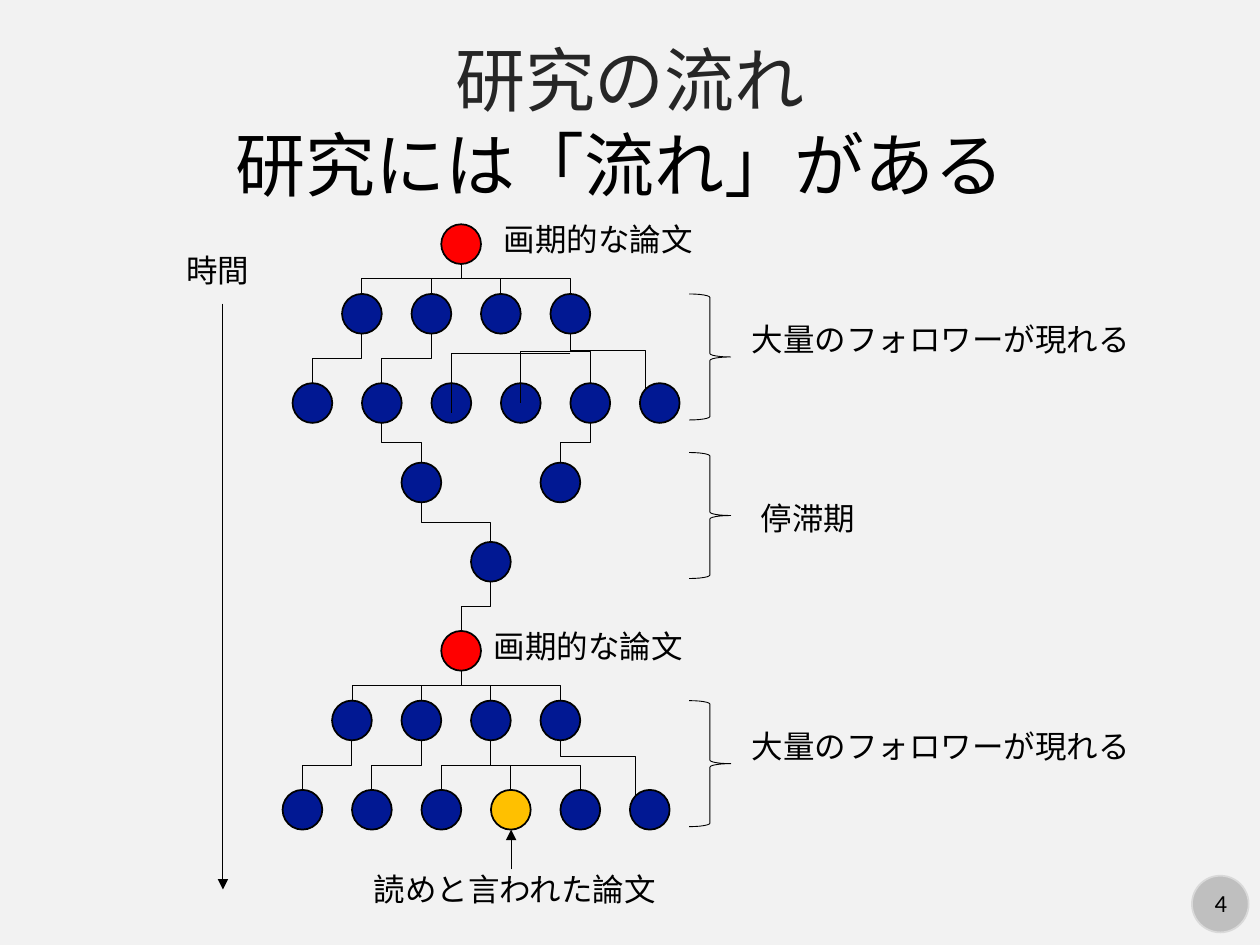
import pptx
import pptx.dml.color
import pptx.enum.dml
import pptx.enum.shapes
import pptx.enum.text
import pptx.oxml
import pptx.oxml.ns
import pptx.util
from dataclasses import dataclass

Pt = pptx.util.Pt
Kind = pptx.enum.shapes.MSO_SHAPE
Line = pptx.enum.shapes.MSO_CONNECTOR
Align = pptx.enum.text.PP_ALIGN
Anchor = pptx.enum.text.MSO_ANCHOR


@dataclass(frozen=True)
class Theme:
    font: str = "Calibri"
    background: str = "F2F2F2"
    ink: str = "000000"
    title: str = "262626"
    paper: str = "011893"
    landmark: str = "FF0000"
    assigned: str = "FFC000"
    badge: str = "BFBFBF"
    badge_edge: str = "D9D9D9"
    heading_size: int = 40
    label_size: int = 18
    number_size: int = 14
    thin: float = 0.5
    outline: float = 1


THEME = Theme()
DIAMETER = 22.7
RADIUS = DIAMETER / 2
STEP = 39.7
ERA_GAP = 232.4

LABELS = [
    ("時間", 99.4, 139.7, 51.1),
    ("画期的な論文", 280.8, 122.4, 123.8),
    ("大量のフォロワーが現れる", 422.6, 179.3, 232.6),
    ("停滞期", 427.7, 281.5, 69.1),
    ("画期的な論文", 275, 355, 123.8),
    ("大量のフォロワーが現れる", 422.6, 411.8, 232.6),
    ("読めと言われた論文", 206.6, 493.9, 177.8),
]

# name: (first centre x, centre y, gap, colours)
ROWS = {
    "first landmark": (263.5, 139.5, STEP, [THEME.landmark]),
    "first followers": (206.8, 179.3, STEP, [THEME.paper] * 4),
    "first descendants": (178.5, 230.3, STEP, [THEME.paper] * 6),
    "stagnant pair": (240.8, 275.7, 2 * STEP, [THEME.paper] * 2),
    "stagnant single": (280.5, 321, STEP, [THEME.paper]),
    "second landmark": (263.5, 139.5 + ERA_GAP, STEP, [THEME.landmark]),
    "second followers": (201.1, 179.3 + ERA_GAP, STEP, [THEME.paper] * 4),
    "second descendants": (172.8, 230.3 + ERA_GAP, STEP,
                           [THEME.paper] * 3 + [THEME.assigned] + [THEME.paper] * 2),
}

# parent row, child row, (parent, child, bend, end anchor)
LINKS = [
    ("first landmark", "first followers", [(0, child, 0.5, "top") for child in range(4)]),
    ("first followers", "first descendants",
     [(0, 0, 0.5, "top"), (1, 1, 0.5, "top"), (3, 3, 0.26, "middle"),
      (3, 4, 0.36, "top"), (3, 5, 0.3, "corner")]),
    ("first descendants", "stagnant pair", [(1, 0, 0.5, "top"), (4, 1, 0.5, "top")]),
    ("stagnant pair", "stagnant single", [(0, 0, 0.5, "top")]),
    ("stagnant single", "second landmark", [(0, 0, 0.5, "top")]),
    ("second landmark", "second followers", [(0, child, 0.5, "top") for child in range(4)]),
    ("second followers", "second descendants",
     [(0, 0, 0.5, "top"), (1, 1, 0.5, "top"), (2, 2, 0.5, "top"),
      (2, 3, 0.5, "top"), (2, 4, 0.5, "top"), (3, 5, 0.3, "corner")]),
]
END_OFFSETS = {"top": (0, -RADIUS), "middle": (0, 0),
               "corner": (-RADIUS * 0.71, -RADIUS * 0.71)}

BRACE_TOPS = [168, 258.6, 168 + ERA_GAP]
ARROWS = [(127.4, 173.5, 127.4, 508.3), (292.1, 496.8, 292.1, 474.1)]


def color(value):
    return pptx.dml.color.RGBColor.from_string(value)


def add_text(slide, text, left, top, width, height, *, size=THEME.label_size,
             ink=THEME.ink, align=Align.LEFT, anchor=Anchor.TOP, wrap=False):
    box = slide.shapes.add_textbox(Pt(left), Pt(top), Pt(width), Pt(height))
    frame = box.text_frame
    frame.word_wrap = wrap
    frame.vertical_anchor = anchor
    paragraph = frame.paragraphs[0]
    paragraph.alignment = align
    run = paragraph.add_run()
    run.text = text
    run.font.name = THEME.font
    run.font.size = Pt(size)
    run.font.color.rgb = color(ink)


def add_outline(slide, kind, left, top, width, height, *, fill=None,
                edge=THEME.ink, weight=THEME.outline):
    shape = slide.shapes.add_shape(kind, Pt(left), Pt(top), Pt(width), Pt(height))
    shape.shadow.inherit = False
    if fill:
        shape.fill.solid()
        shape.fill.fore_color.rgb = color(fill)
    else:
        shape.fill.background()
    shape.line.color.rgb = color(edge)
    shape.line.width = Pt(weight)


def add_line(slide, kind, x1, y1, x2, y2):
    connector = slide.shapes.add_connector(kind, Pt(x1), Pt(y1), Pt(x2), Pt(y2))
    connector.line.color.rgb = color(THEME.ink)
    connector.line.width = Pt(THEME.thin)
    properties = connector._element.spPr
    properties.append(pptx.oxml.parse_xml(
        f"<a:effectLst {pptx.oxml.ns.nsdecls('a')}/>"))
    return connector, properties


def add_arrow(slide, x1, y1, x2, y2):
    connector, _ = add_line(slide, Line.STRAIGHT, x1, y1, x2, y2)
    connector.line._get_or_add_ln().append(pptx.oxml.parse_xml(
        f"<a:tailEnd {pptx.oxml.ns.nsdecls('a')} type='triangle'/>"))


def add_branch(slide, x1, y1, x2, y2, bend):
    middle_x, middle_y = (x1 + x2) / 2, (y1 + y2) / 2
    half_drop, half_run = (y2 - y1) / 2, abs(x2 - x1) / 2
    side = 1 if x2 > x1 else -1
    _, properties = add_line(
        slide, Line.ELBOW, middle_x + side * half_drop, middle_y - half_run,
        middle_x - side * half_drop, middle_y + half_run)
    name = pptx.oxml.ns.qn
    properties.find(name("a:xfrm")).set("rot", "16200000" if side > 0 else "5400000")
    geometry = properties.find(name("a:prstGeom"))
    geometry.find(name("a:avLst")).append(pptx.oxml.parse_xml(
        f"<a:gd {pptx.oxml.ns.nsdecls('a')} name='adj1' fmla='val {round(bend * 100000)}'/>"))


def add_corner(slide, x1, y1, x2, y2):
    _, properties = add_line(slide, Line.ELBOW, x1, y1, x2, y2)
    properties.find(pptx.oxml.ns.qn("a:prstGeom")).set("prst", "bentConnector2")


def center(row, index):
    left, y, gap, _ = ROWS[row]
    return left + index * gap, y


def main():
    """Build the slide on how research flows through landmark papers."""
    presentation = pptx.Presentation()
    presentation.slide_width, presentation.slide_height = Pt(720), Pt(540)
    slide = presentation.slides.add_slide(presentation.slide_layouts[6])
    slide.background.fill.solid()
    slide.background.fill.fore_color.rgb = color(THEME.background)

    add_outline(slide, Kind.OVAL, 681.1, 500.4, 32.4, 32.4,
                fill=THEME.badge, edge=THEME.badge_edge)
    add_text(slide, "4", 681.8, 504, 31.7, 24.5, size=THEME.number_size, align=Align.CENTER)
    add_text(slide, "研究の流れ", 0, 15.1, 720, 59, size=THEME.heading_size,
             ink=THEME.title, align=Align.CENTER, anchor=Anchor.MIDDLE, wrap=True)
    add_text(slide, "研究には「流れ」がある", 127.4, 66.2, 458.6, 55.4,
             size=THEME.heading_size)
    for text, left, top, width in LABELS:
        add_text(slide, text, left, top, width, 28.8)

    for row, (_, _, _, fills) in ROWS.items():
        for index, fill in enumerate(fills):
            x, y = center(row, index)
            add_outline(slide, Kind.OVAL, x - RADIUS, y - RADIUS, DIAMETER, DIAMETER, fill=fill)

    for parent_row, child_row, pairs in LINKS:
        for parent, child, bend, end in pairs:
            x1, y1 = center(parent_row, parent)
            x2, y2 = center(child_row, child)
            shift_x, shift_y = END_OFFSETS[end]
            add_branch(slide, x1, y1 + RADIUS, x2 + shift_x, y2 + shift_y, bend)
    add_corner(slide, 325.9, 202, 257.9, 236)

    for top in BRACE_TOPS:
        add_outline(slide, Kind.RIGHT_BRACE, 393.8, top, 23.8, 72, weight=THEME.thin)
    for arrow in ARROWS:
        add_arrow(slide, *arrow)
    presentation.save("out.pptx")


if __name__ == "__main__":
    main()
